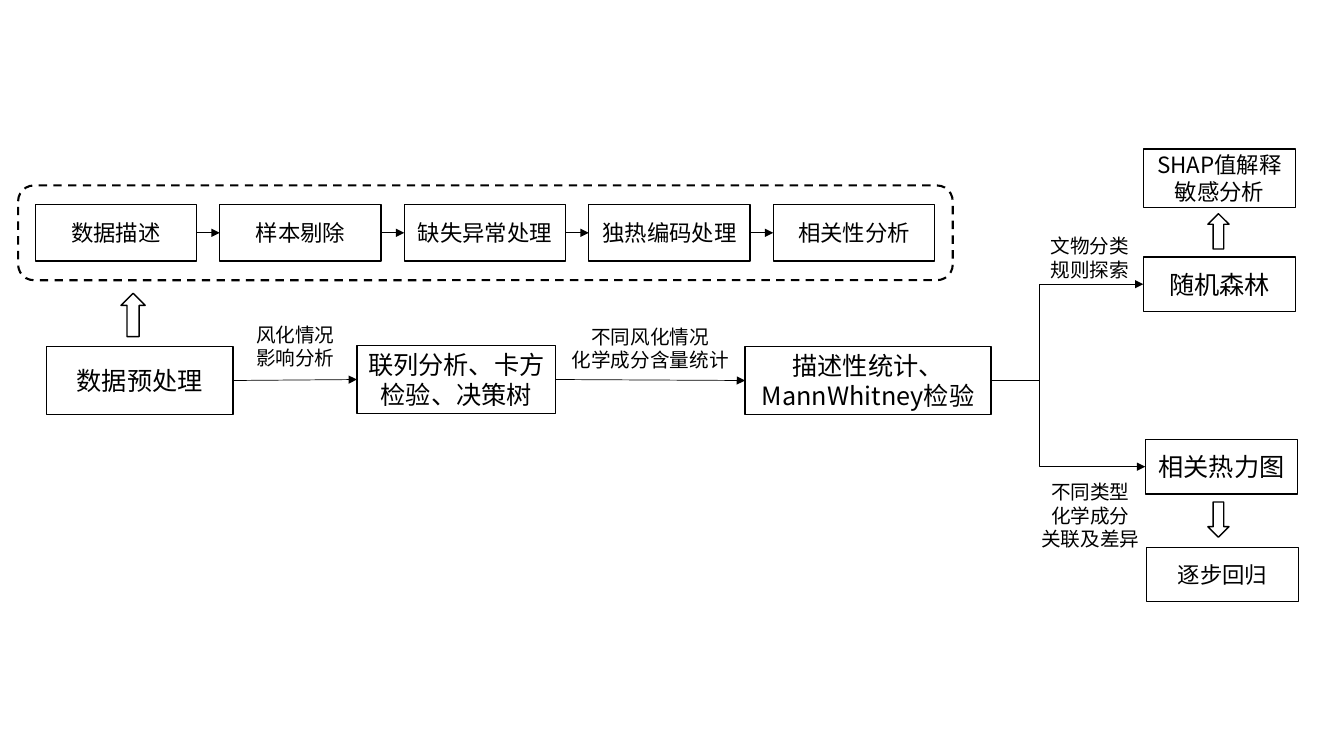
from lxml.etree import SubElement
from pptx import Presentation
from pptx.dml.color import RGBColor
from pptx.enum.dml import MSO_LINE as Dash
from pptx.enum.shapes import MSO_CONNECTOR as Link, MSO_SHAPE as Shape
from pptx.enum.text import MSO_ANCHOR as Anchor, PP_ALIGN as Align
from pptx.oxml.ns import qn
from pptx.util import Inches, Pt

BLACK = RGBColor(0, 0, 0)
WHITE = RGBColor(255, 255, 255)
FONT = "Noto Sans CJK SC"
LEFT, RIGHT = 1, 3  # connection sites of a rectangle


def outline(slide, kind, box, width=1):
    """Unfilled shape with a black line, or no line if width is 0."""
    shape = slide.shapes.add_shape(kind, *[Inches(n) for n in box])
    shape.shadow.inherit = False
    shape.fill.background()
    if width:
        shape.line.color.rgb = BLACK
        shape.line.width = Pt(width)
    else:
        shape.line.fill.background()
    return shape


def block(slide, box, text, size=18, width=1):
    """White rectangle with centred text."""
    shape = outline(slide, Shape.RECTANGLE, box, width)
    shape.fill.solid()
    shape.fill.fore_color.rgb = WHITE
    frame = shape.text_frame
    frame.word_wrap = True
    frame.vertical_anchor = Anchor.MIDDLE
    frame.text = text
    for para in frame.paragraphs:
        para.alignment = Align.CENTER
        font = para.font
        font.size = Pt(size)
        font.color.rgb = BLACK
        font.name = FONT
        SubElement(font._rPr, qn("a:ea"), typeface=FONT)
    return shape


def label(slide, box, text):
    block(slide, box, text, 14, 0)


def join(slide, start, end, bend=None):
    """Arrow from the right of one block to the left of another."""
    kind = Link.STRAIGHT if bend is None else Link.ELBOW
    line = slide.shapes.add_connector(kind, 0, 0, 0, 0)
    line.begin_connect(start, RIGHT)
    line.end_connect(end, LEFT)
    line.line.color.rgb = BLACK
    line.line.width = Pt(0.5)
    props = line._element.spPr
    SubElement(props.find(qn("a:ln")), qn("a:tailEnd"), type="triangle")
    SubElement(props, qn("a:effectLst"))
    if bend is not None:
        guides = props.find(qn("a:prstGeom")).get_or_add_avLst()
        SubElement(guides, qn("a:gd"), name="adj1",
                   fmla=f"val {round(bend * 100000)}")


def prep(slide, x, y, w, h):
    """Dashed frame holding the row of preparation steps."""
    steps = ["数据描述", "样本剔除", "缺失异常处理", "独热编码处理", "相关性分析"]
    wide, gap = 1.6, 0.23
    last = None
    for i, text in enumerate(steps):
        box = (x + 0.17 + i * (wide + gap), y + 0.19, wide, 0.56)
        step = block(slide, box, text, 16)
        if last is not None:
            join(slide, last, step)
        last = step
    frame = outline(slide, Shape.ROUNDED_RECTANGLE, (x, y, w, h), 1.5)
    frame.line.dash_style = Dash.DASH


def main_row(slide, x, y, h):
    """Main flow; returns its last block."""
    label(slide, (x + 1.79, y - 0.34, 1.36, h), "风化情况\n影响分析")
    label(slide, (x + 5.01, y - 0.32, 1.96, h), "不同风化情况\n化学成分含量统计")
    data = block(slide, (x, y, 1.85, h), "数据预处理")
    test = block(slide, (x + 3.08, y - 0.01, 1.97, h), "联列分析、卡方检验、决策树")
    stats = block(slide, (x + 6.93, y, 2.44, h), "描述性统计、MannWhitney检验")
    join(slide, data, test)
    join(slide, test, stats)
    outline(slide, Shape.UP_ARROW, (x + 0.74, y - 0.53, 0.24, 0.43))
    return stats


def forest(slide, x, y, w, source):
    """Upper branch."""
    label(slide, (x - 1.09, y + 0.74, 1.12, 0.67), "文物分类规则探索")
    block(slide, (x, y, w, 0.58), "SHAP值解释敏感分析", 16)
    model = block(slide, (x, y + 1.07, w, 0.54), "随机森林")
    outline(slide, Shape.UP_ARROW, (x + 0.64, y + 0.64, 0.21, 0.35))
    join(slide, source, model, 0.32)


def heat(slide, x, y, w, source):
    """Lower branch."""
    label(slide, (x - 1.15, y + 0.42, 1.21, 0.67), "不同类型\n化学成分\n关联及差异")
    block(slide, (x + 0.01, y + 1.07, w, 0.54), "逐步回归", 16)
    chart = block(slide, (x, y, w, 0.54), "相关热力图")
    outline(slide, Shape.DOWN_ARROW, (x + 0.62, y + 0.62, 0.21, 0.35))
    join(slide, source, chart, 0.31)


def main():
    deck = Presentation()
    deck.slide_width, deck.slide_height = Inches(13.33), Inches(7.5)
    slide = deck.slides.add_slide(deck.slide_layouts[6])
    stats = main_row(slide, 0.46, 3.44, 0.67)
    prep(slide, 0.18, 1.84, 9.27, 0.94)
    forest(slide, 11.34, 1.48, 1.51, stats)
    heat(slide, 11.36, 4.36, 1.51, stats)
    deck.save("out.pptx")


if __name__ == "__main__":
    main()
